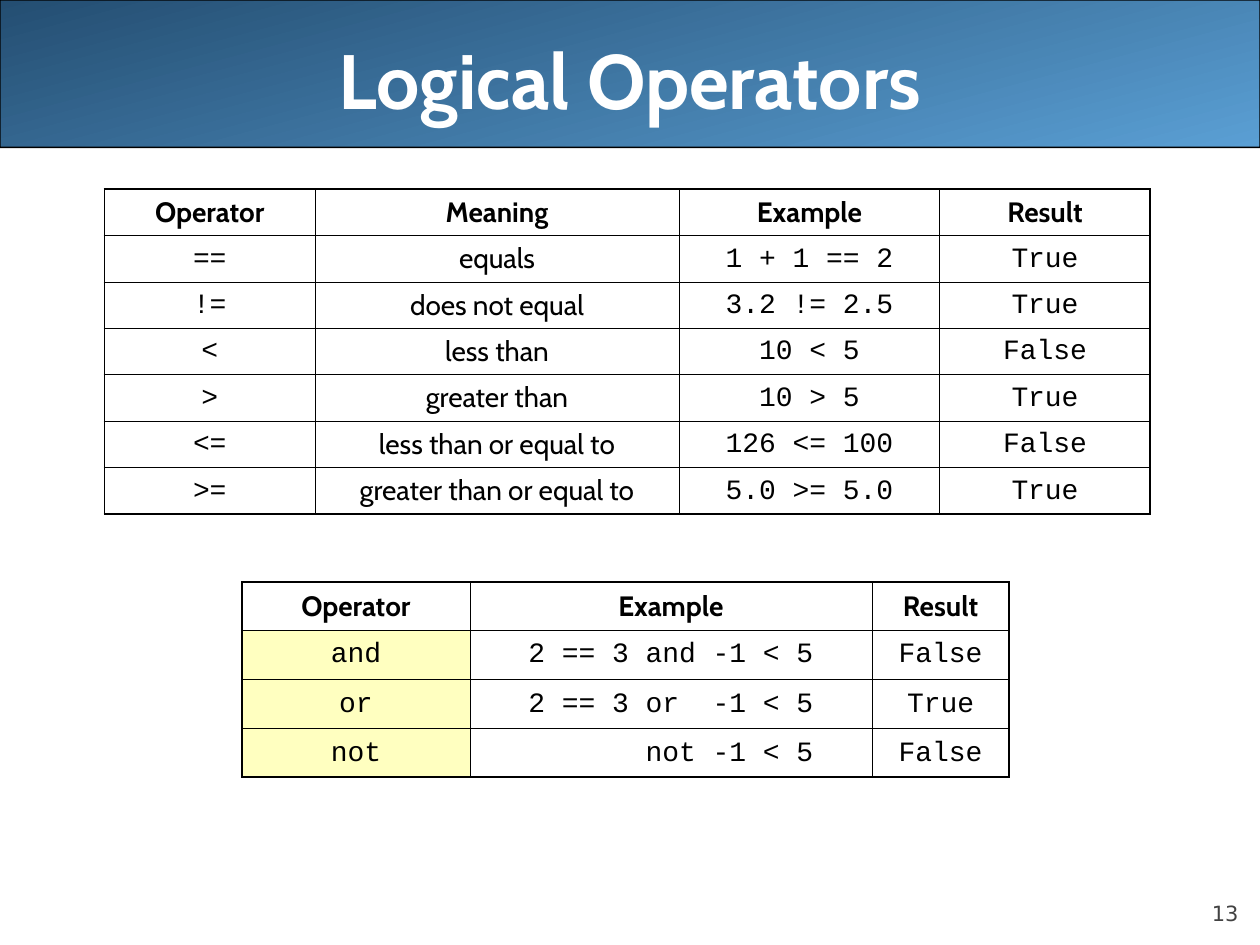
import pptx
import pptx.util
import pptx.dml.color
import pptx.enum.shapes
import pptx.enum.text
import pptx.oxml
import pptx.oxml.ns

WIDE, HIGH = 10, 7.5
SANS, MONO = "Cabin", "Courier New"
ALIGN = pptx.enum.text.PP_ALIGN
ANCHOR = pptx.enum.text.MSO_ANCHOR

COMPARE = [
    ["Operator", "Meaning", "Example", "Result"],
    ["==", "equals", "1 + 1 == 2", "True"],
    ["!=", "does not equal", "3.2 != 2.5", "True"],
    ["<", "less than", "10 < 5", "False"],
    [">", "greater than", "10 > 5", "True"],
    ["<=", "less than or equal to", "126 <= 100", "False"],
    [">=", "greater than or equal to", "5.0 >= 5.0", "True"],
]
LOGIC = [
    ["Operator", "Example", "Result"],
    ["and", "2 == 3 and -1 < 5", "False"],
    ["or", "2 == 3 or  -1 < 5", "True"],
    ["not", "       not -1 < 5", "False"],
]


def color(code):
    return pptx.dml.color.RGBColor.from_string(code)


def share(x, y, w, h):
    inch = pptx.util.Inches
    return inch(x * WIDE), inch(y * HIGH), inch(w * WIDE), inch(h * HIGH)


def write(frame, text, size=16, face=SANS, tint="000000", bold=False,
          align=ALIGN.CENTER, space=1.0):
    para = frame.paragraphs[0]
    para.alignment = align
    para.line_spacing = space
    para.space_before = pptx.util.Pt(0)
    run = para.add_run()
    run.text = text
    run.font.size = pptx.util.Pt(size)
    run.font.name = face
    run.font.bold = bold
    run.font.color.rgb = color(tint)


def edge(cell, sides):
    props = cell._tc.get_or_add_tcPr()
    for spot, (side, width) in enumerate(sides.items()):
        line = pptx.oxml.parse_xml(
            f'<a:ln{side} {pptx.oxml.ns.nsdecls("a")} w="{pptx.util.Pt(width)}">'
            '<a:solidFill><a:srgbClr val="000000"/></a:solidFill>'
            f'</a:ln{side}>')
        props.insert(spot, line)


def band(slide):
    shape = slide.shapes.add_shape(
        pptx.enum.shapes.MSO_SHAPE.ROUNDED_RECTANGLE, *share(0, 0, 1, 0.156))
    shape.adjustments[0] = 0.001
    shape.shadow.inherit = False
    shape.fill.gradient()
    shape.fill.gradient_angle = 285
    for stop, code in zip(shape.fill.gradient_stops, ("244E72", "5A9FD4")):
        stop.color.rgb = color(code)
    shape.line.color.rgb = color("000000")
    shape.line.width = pptx.util.Pt(0.75)
    slide.shapes._spTree.insert(2, shape._element)


def head(slide, text):
    title = slide.shapes.title
    title.left, title.top, title.width, title.height = share(0.05, 0, 0.9, 1 / 6)
    title.text_frame.vertical_anchor = ANCHOR.MIDDLE
    write(title.text_frame, text, size=44, tint="FFFFFF", bold=True)


def number(slide, text):
    frame = slide.shapes.add_textbox(*share(0.9, 0.927, 0.083, 0.053)).text_frame
    frame.word_wrap = True
    frame.vertical_anchor = ANCHOR.BOTTOM
    frame.margin_left = frame.margin_right = 0
    frame.margin_top = frame.margin_bottom = 0
    write(frame, text, size=12, face="DejaVu Sans", tint="424242",
          align=ALIGN.RIGHT)


def grid(slide, data, left, top, cols, rows, tint=None):
    inch = pptx.util.Inches
    table = slide.shapes.add_table(
        len(rows), len(cols), inch(left), inch(top),
        inch(sum(cols)), inch(sum(rows))).table
    table.first_row = table.horz_banding = False
    for col, width in zip(table.columns, cols):
        col.width = inch(width)
    for row, height in zip(table.rows, rows):
        row.height = inch(height)
    thick, thin = 1.08, 0.45
    for r, line in enumerate(data):
        for c, text in enumerate(line):
            cell = table.cell(r, c)
            cell.vertical_anchor = ANCHOR.MIDDLE
            if tint and r and c == 0:
                cell.fill.solid()
                cell.fill.fore_color.rgb = color(tint)
            else:
                cell.fill.background()
            edge(cell, {
                "L": thick if c == 0 else thin,
                "R": thick if c == len(cols) - 1 else thin,
                "T": thick if r == 0 else thin,
                "B": thick if r == len(rows) - 1 else thin,
            })
            plain = r == 0 or data[0][c] == "Meaning"
            write(cell.text_frame, text, face=SANS if plain else MONO,
                  bold=r == 0, space=0.98 if plain else 0.94)


def main():
    deck = pptx.Presentation()
    deck.slide_width = pptx.util.Inches(WIDE)
    deck.slide_height = pptx.util.Inches(HIGH)
    slide = deck.slides.add_slide(deck.slide_layouts[5])
    band(slide)
    head(slide, "Logical Operators")
    number(slide, "13")
    grid(slide, LOGIC, 1.92, 4.62, [1.81, 3.19, 1.09],
         [0.38] + [0.39] * 3, tint="FFFFC0")
    grid(slide, COMPARE, 0.83, 1.5, [1.67, 2.89, 2.07, 1.67],
         [2.58 / 7] * 7)
    deck.save("out.pptx")


if __name__ == "__main__":
    main()
